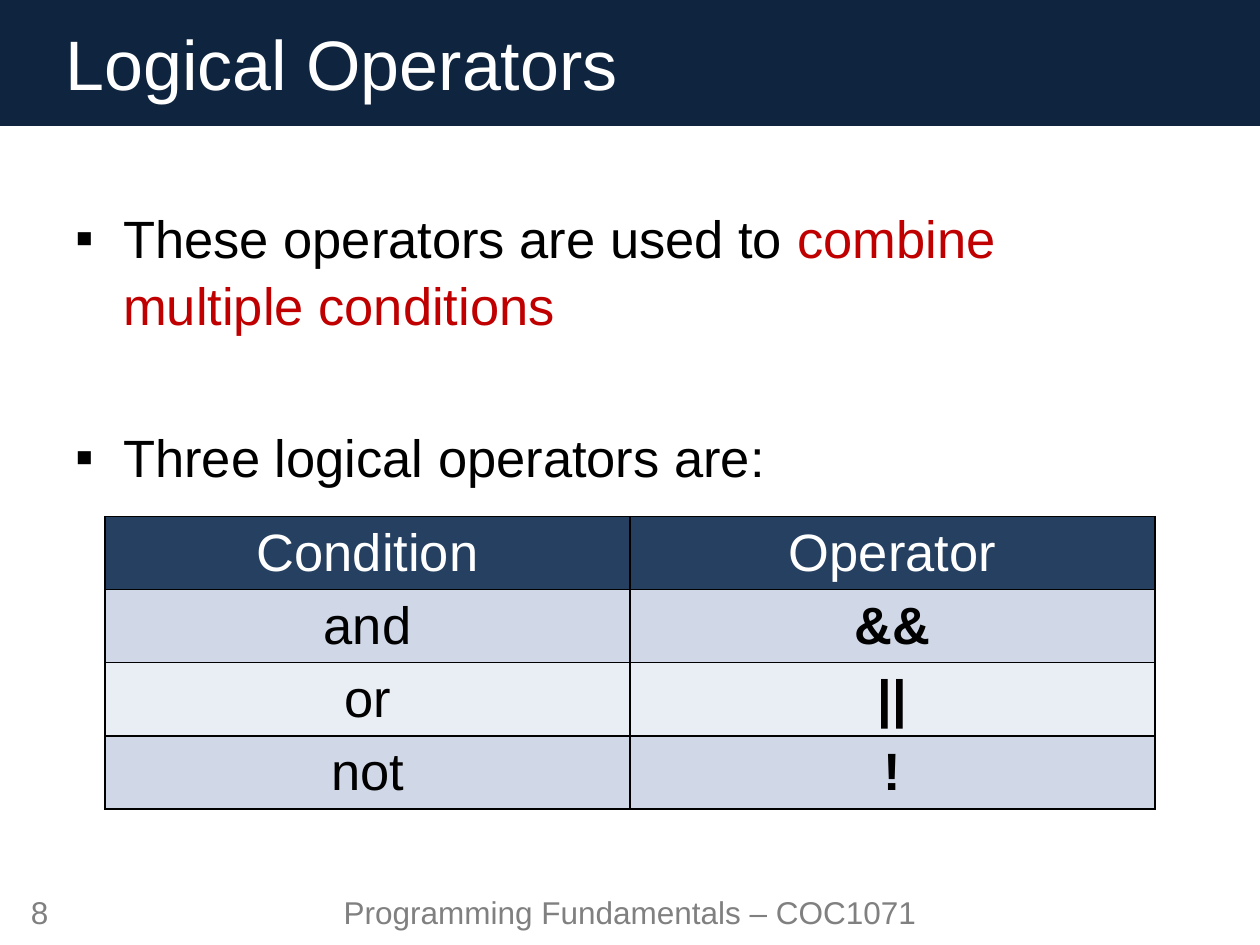
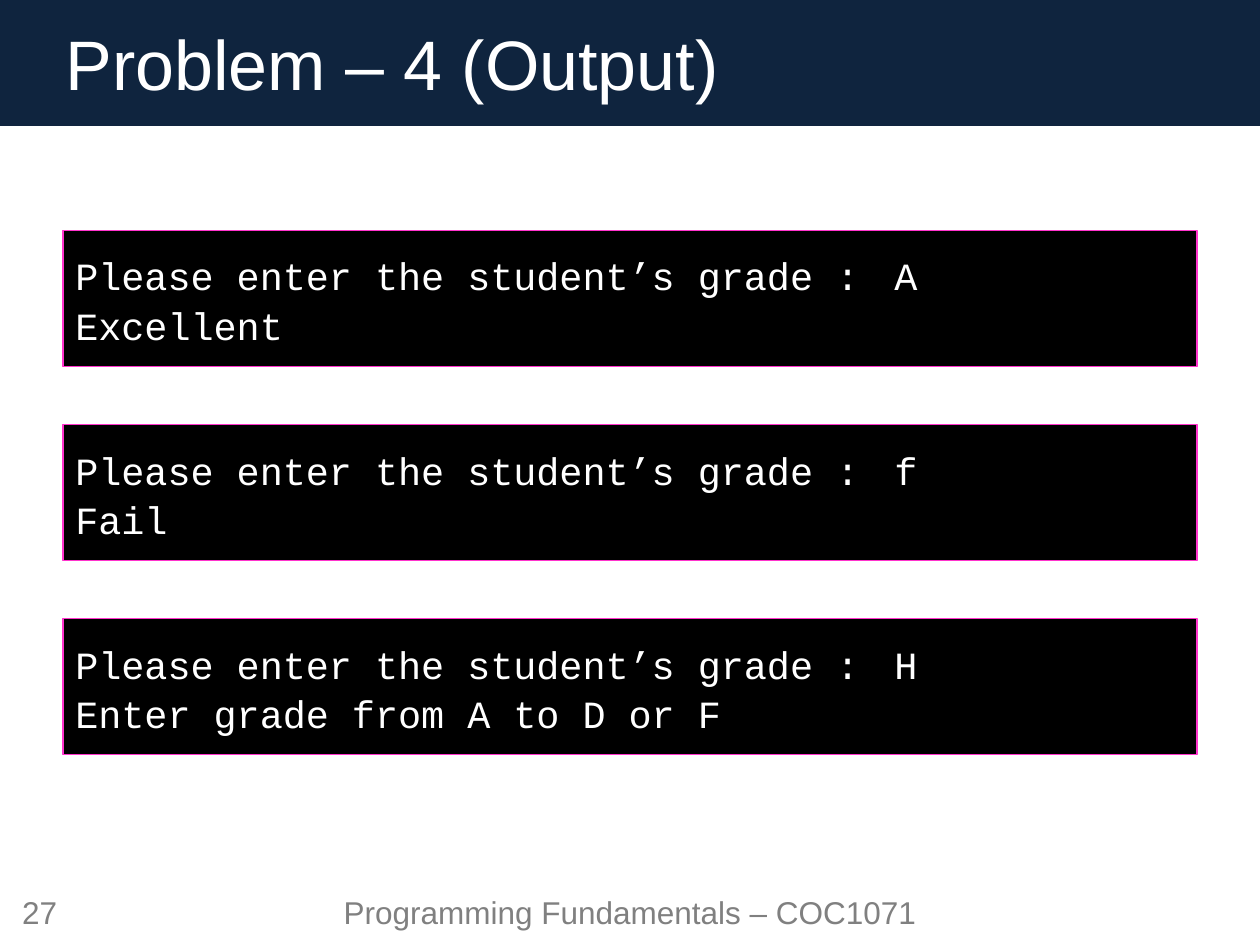
import pptx
import pptx.dml.color
import pptx.enum.shapes
import pptx.enum.text
import pptx.oxml
import pptx.oxml.ns
import pptx.util

RGBColor = pptx.dml.color.RGBColor
Inches = pptx.util.Inches
Pt = pptx.util.Pt
ALIGN = pptx.enum.text.PP_ALIGN
MIDDLE = pptx.enum.text.MSO_ANCHOR.MIDDLE

# Content
FOOTER = "Programming Fundamentals – COC1071"
OPERATORS = {
    "title": "Logical Operators",
    "number": "8",
    "bullets": [
        [("These operators are used to ", "body"), ("combine multiple conditions", "accent")],
        [("Three logical operators are:", "body")],
    ],
    "table": [("Condition", "Operator"), ("and", "&&"), ("or", "||"), ("not", "!")],
}
OUTPUT = {
    "title": "Problem – 4 (Output)",
    "number": "27",
    "runs": [("A", "Excellent"), ("f", "Fail"), ("H", "Enter grade from A to D or F")],
}
PROMPT = "Please enter the student’s grade :\t"

# Colours and text formats
NAVY = RGBColor(0x0F, 0x24, 0x3E)
HEADER_BLUE = RGBColor(0x25, 0x40, 0x61)
ROW_FILLS = [RGBColor(0xD0, 0xD8, 0xE8), RGBColor(0xE9, 0xED, 0xF4)]
PINK = RGBColor(0xFF, 0x33, 0xCC)
RED = RGBColor(0xC0, 0x00, 0x00)
GREY = RGBColor(0x80, 0x80, 0x80)
BLACK = RGBColor(0x00, 0x00, 0x00)
WHITE = RGBColor(0xFF, 0xFF, 0xFF)

FORMATS = {
    "title": {"name": "Arial", "size": Pt(40), "color": WHITE},
    "footer": {"name": "Arial", "size": Pt(18), "color": GREY},
    "body": {"name": "Arial", "size": Pt(30), "color": BLACK},
    "accent": {"name": "Arial", "size": Pt(30), "color": RED},
    "header": {"name": "Arial", "size": Pt(30), "color": WHITE, "bold": False},
    "operator": {"name": "Arial", "size": Pt(30), "color": BLACK, "bold": True},
    "code": {"name": "Courier New", "size": Pt(22), "color": WHITE},
}

# Layout in inches
WIDTH, HEIGHT = 10, 7.5
BAND_HEIGHT = 1
MARGIN = 0.5
CONTENT_WIDTH = WIDTH - 2 * MARGIN
FOOTER_TOP, FOOTER_HEIGHT = 7, 0.47
TABLE_TOP, TABLE_WIDTH, TABLE_HEIGHT = 4.1, WIDTH * 5 / 6, 2.26
CONSOLE_TOP, CONSOLE_HEIGHT, CONSOLE_STEP = 1.83, 1.08, 1.54
LINE_SPACING = 1.07
BULLET_INDENT = 0.38


def add_run(paragraph, text, style):
    run = paragraph.add_run()
    run.text = text
    for attribute, value in FORMATS[style].items():
        if attribute == "color":
            run.font.color.rgb = value
        else:
            setattr(run.font, attribute, value)


def add_rectangle(slide, box, fill, line=None):
    shape = slide.shapes.add_shape(
        pptx.enum.shapes.MSO_SHAPE.RECTANGLE, *map(Inches, box))
    shape.shadow.inherit = False
    shape.fill.solid()
    shape.fill.fore_color.rgb = fill
    if line is None:
        shape.line.fill.background()
    else:
        shape.line.color.rgb = line
        shape.line.width = Pt(0.75)
    shape.text_frame.vertical_anchor = MIDDLE
    return shape


def add_label(slide, box, text):
    frame = slide.shapes.add_textbox(*map(Inches, box)).text_frame
    frame.word_wrap = True
    frame.vertical_anchor = MIDDLE
    frame.paragraphs[0].alignment = ALIGN.CENTER
    add_run(frame.paragraphs[0], text, "footer")


def add_base_slide(presentation, content):
    """Blank slide with the title band, footer and slide number."""
    slide = presentation.slides.add_slide(presentation.slide_layouts[6])
    frame = add_rectangle(slide, (0, 0, WIDTH, BAND_HEIGHT), NAVY).text_frame
    frame.margin_left = Inches(0.52)
    frame.paragraphs[0].alignment = ALIGN.LEFT
    add_run(frame.paragraphs[0], content["title"], "title")
    add_label(slide, (2.25, FOOTER_TOP, 5.5, FOOTER_HEIGHT), FOOTER)
    add_label(slide, (0, FOOTER_TOP, 0.63, FOOTER_HEIGHT), content["number"])
    return slide


def set_bullet(paragraph):
    properties = paragraph._p.get_or_add_pPr()
    properties.set("marL", str(Inches(BULLET_INDENT)))
    properties.set("indent", str(-Inches(BULLET_INDENT)))
    namespace = pptx.oxml.ns.nsdecls("a")
    for xml in (f'<a:buClr {namespace}><a:srgbClr val="{BLACK}"/></a:buClr>',
                f'<a:buFont {namespace} typeface="Arial"/>',
                f'<a:buChar {namespace} char="▪"/>'):
        properties.append(pptx.oxml.parse_xml(xml))


def add_bullets(slide, bullets):
    box = slide.shapes.add_textbox(
        *map(Inches, (MARGIN, 1.55, CONTENT_WIDTH, 2.4)))
    frame = box.text_frame
    frame.word_wrap = True
    for index, runs in enumerate(bullets):
        paragraph = frame.add_paragraph() if index else frame.paragraphs[0]
        set_bullet(paragraph)
        paragraph.line_spacing = LINE_SPACING
        if index:
            paragraph.space_before = Pt(48)
        for text, style in runs:
            add_run(paragraph, text, style)


def set_borders(cell):
    properties = cell._tc.get_or_add_tcPr()
    for position, side in enumerate(("lnL", "lnR", "lnT", "lnB")):
        properties.insert(position, pptx.oxml.parse_xml(
            f'<a:{side} {pptx.oxml.ns.nsdecls("a")} w="{Pt(1)}"><a:solidFill>'
            f'<a:srgbClr val="{BLACK}"/></a:solidFill></a:{side}>'))


def add_operator_table(slide, rows):
    box = ((WIDTH - TABLE_WIDTH) / 2, TABLE_TOP, TABLE_WIDTH, TABLE_HEIGHT)
    table = slide.shapes.add_table(
        len(rows), len(rows[0]), *map(Inches, box)).table
    for row_index, row in enumerate(rows):
        for column_index, text in enumerate(row):
            cell = table.cell(row_index, column_index)
            cell.margin_top = cell.margin_bottom = Inches(0.04)
            cell.vertical_anchor = MIDDLE
            cell.fill.solid()
            if row_index == 0:
                fill, style = HEADER_BLUE, "header"
            else:
                fill = ROW_FILLS[(row_index - 1) % 2]
                style = "operator" if column_index else "body"
            cell.fill.fore_color.rgb = fill
            set_borders(cell)
            paragraph = cell.text_frame.paragraphs[0]
            paragraph.alignment = ALIGN.CENTER
            add_run(paragraph, text, style)


def add_consoles(slide, runs):
    for index, (grade, reply) in enumerate(runs):
        top = CONSOLE_TOP + index * CONSOLE_STEP
        frame = add_rectangle(
            slide, (MARGIN, top, CONTENT_WIDTH, CONSOLE_HEIGHT), BLACK, PINK).text_frame
        for paragraph, text in ((frame.paragraphs[0], PROMPT + grade),
                                (frame.add_paragraph(), reply)):
            paragraph.alignment = ALIGN.LEFT
            paragraph.line_spacing = LINE_SPACING
            add_run(paragraph, text, "code")


def main():
    presentation = pptx.Presentation()
    presentation.slide_width = Inches(WIDTH)
    presentation.slide_height = Inches(HEIGHT)

    # Logical operators
    slide = add_base_slide(presentation, OPERATORS)
    add_bullets(slide, OPERATORS["bullets"])
    add_operator_table(slide, OPERATORS["table"])

    # Program output
    slide = add_base_slide(presentation, OUTPUT)
    add_consoles(slide, OUTPUT["runs"])

    presentation.save("out.pptx")


if __name__ == "__main__":
    main()
